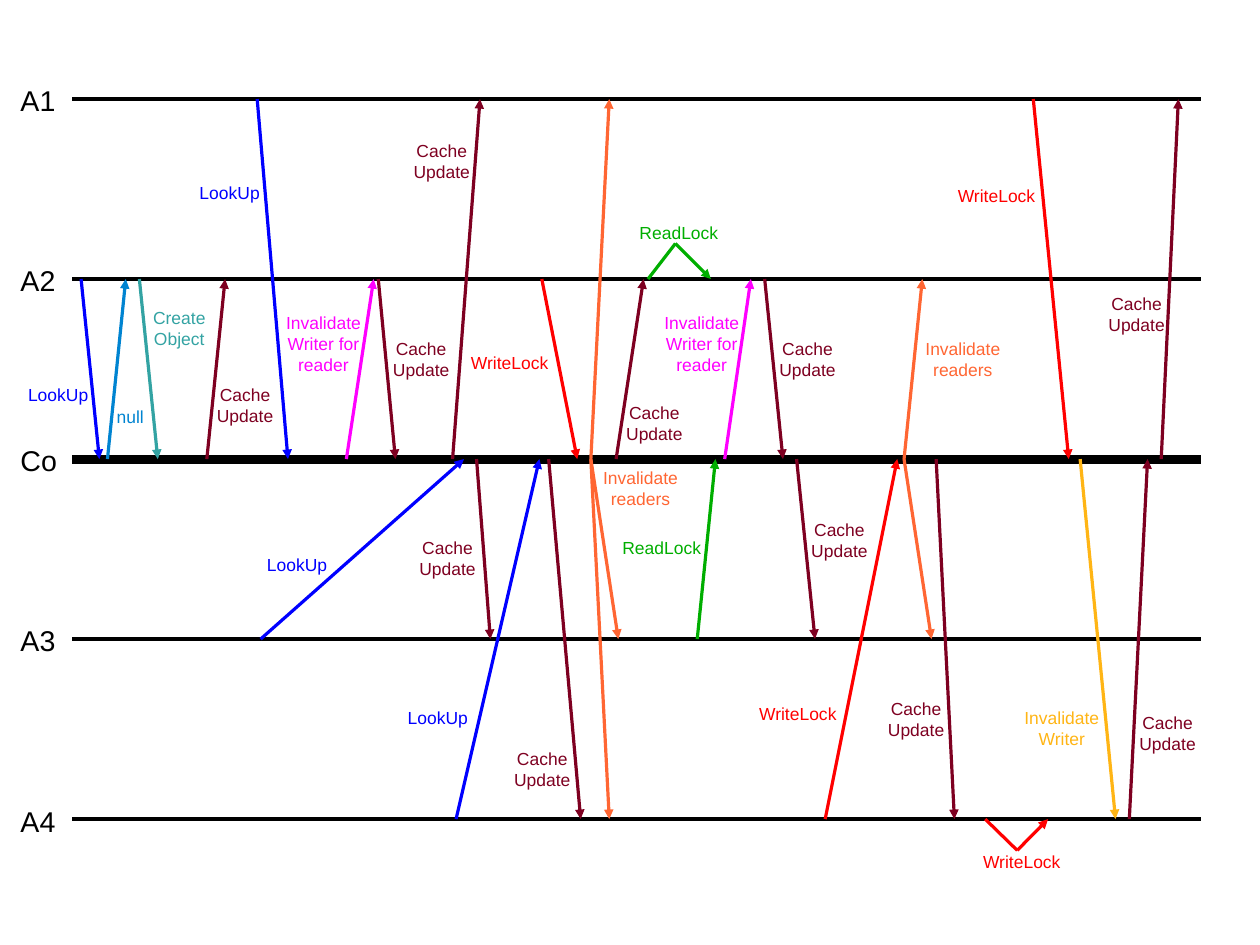
from itertools import pairwise

from pptx import Presentation
from pptx.dml.color import RGBColor
from pptx.enum import shapes, text
from pptx.oxml import xmlchemy
from pptx.util import Pt

A1, A2, CO, A3, A4 = LIFELINES = [round(62.4 + 113.4 * i, 1) for i in range(5)]
NAMES = ["A1", "A2", "Co", "A3", "A4"]

# kind: label lines, colour, label width, label height
KINDS = {
    "lookup": (["LookUp"], "0000FF", 79.2, 51),
    "null": (["null"], "0084D1", 79.2, 22.3),
    "create": (["Create", "Object"], "33A3A3", 79.2, 36.7),
    "update": (["Cache", "Update"], "7E0021", 54, 62.6),
    "reader": (["Invalidate", "Writer for reader"], "FF00FF", 79.2, 51),
    "write": (["WriteLock"], "FF0000", 79.2, 51),
    "read": (["ReadLock"], "00AE00", 79.2, 51),
    "readers": (["Invalidate readers"], "FF6633", 62.6, 32.4),
    "writer": (["Invalidate", "Writer"], "FFB515", 79.2, 51),
}

# kind, label left and top, then one path of (x, y) points for each arrow
MESSAGES = [
    ("lookup", -2.9, 238.3, [(51.1, A2), (62.6, CO)]),
    ("null", 42.5, 252, [(67.7, CO), (79.2, A2)]),
    ("create", 73.4, 190.1, [(87.8, A2), (99.4, CO)]),
    ("update", 127.4, 238.3, [(130.3, CO), (141.8, A2)]),
    ("lookup", 105.1, 110.9, [(162, A1), (181.4, CO)]),
    ("reader", 164.2, 193, [(218.2, CO), (235.4, A2)]),
    ("update", 238.3, 209.5, [(238.3, A2), (249.1, CO)]),
    ("update", 251.3, 85, [(285.1, CO), (302.4, A1)]),
    ("lookup", 147.6, 345.6, [(164.2, A3), (292.3, CO)]),
    ("lookup", 236.2, 442.1, [(287.3, A4), (339.8, CO)]),
    ("update", 254.9, 334.8, [(300.2, CO), (308.9, A3)]),
    ("update", 314.6, 468, [(345.6, CO), (365.8, A4)]),
    ("write", 281.5, 218.2, [(341.3, A2), (363.6, CO)]),
    ("readers", 372.2, 290.9, [(372.2, CO), (383.8, A1)],
     [(372.2, CO), (389.5, A3)], [(372.2, CO), (383.8, A4)]),
    ("update", 385.2, 249.8, [(388.1, CO), (405.4, A2)]),
    ("read", 388.1, 136.1, [(408.2, A2), (425.5, 153.4), (447.8, A2)]),
    ("read", 377.3, 334.8, [(439.2, A3), (450.7, CO)]),
    ("reader", 402.5, 193, [(456.5, CO), (473, A2)]),
    ("update", 481.7, 209.5, [(481.7, A2), (493.2, CO)]),
    ("update", 501.8, 323.3, [(501.8, CO), (513.4, A3)]),
    ("write", 463, 439.2, [(519.8, A4), (565.2, CO)]),
    ("readers", 575.3, 209.5, [(569.5, CO), (581, A2)],
     [(569.5, CO), (586.8, A3)]),
    ("update", 550.1, 436.3, [(589.7, CO), (601.2, A4)]),
    ("write", 604.1, 532.8, [(620.6, A4), (640.8, 535.7), (660.2, A4)]),
    ("write", 588.2, 113, [(650.9, A1), (673.2, CO)]),
    ("writer", 629.3, 442.1, [(680.4, CO), (702.7, A4)]),
    ("update", 708.5, 445, [(711.4, A4), (722.9, CO)]),
    ("update", 689, 181.4, [(731.5, CO), (742.3, A1)]),
]


def colour(value):
    return RGBColor.from_string(value)


class SequenceDiagram:
    def __init__(self, slide, font="Arial"):
        self.slide = slide
        self.font = font

    def label(self, lines, left, top, width, height, *, parent=None, size=11,
              fill="000000", align=text.PP_ALIGN.CENTER):
        """Write each of the lines as a paragraph of one text box."""
        parent = parent or self.slide
        box = parent.shapes.add_textbox(Pt(left), Pt(top), Pt(width), Pt(height))
        frame = box.text_frame
        frame.word_wrap = True
        frame.auto_size = text.MSO_AUTO_SIZE.SHAPE_TO_FIT_TEXT
        frame.text = "\n".join(lines)
        for paragraph in frame.paragraphs:
            paragraph.alignment = align
            paragraph.font.name = self.font
            paragraph.font.size = Pt(size)
            paragraph.font.color.rgb = colour(fill)

    def line(self, start, end, *, parent=None, stroke="000000", width=0, arrow=False):
        parent = parent or self.slide
        connector = parent.shapes.add_connector(
            shapes.MSO_CONNECTOR.STRAIGHT, *map(Pt, (*start, *end)))
        connector.line.color.rgb = colour(stroke)
        connector.line.width = Pt(width)
        if arrow:
            head = xmlchemy.OxmlElement("a:tailEnd")
            head.set("type", "triangle")
            connector.line._get_or_add_ln().append(head)
        connector._element.spPr.append(xmlchemy.OxmlElement("a:effectLst"))

    def lifeline(self, name, y):
        self.line((45.4, y), (756.7, y), width=5.67 if y == CO else 2.83)
        self.label([name], 5.8, y - 13.4, 39.6, 27.2, size=18,
                   align=text.PP_ALIGN.LEFT)

    def message(self, kind, left, top, *paths):
        """Group a label with its arrows; each path has a head at its end."""
        lines, shade, width, height = KINDS[kind]
        group = self.slide.shapes.add_group_shape()
        for path in paths:
            for start, end in pairwise(path):
                self.line(start, end, parent=group, stroke=shade,
                          arrow=end == path[-1])
        self.label(lines, left, top, width, height, parent=group, fill=shade)


def main():
    deck = Presentation()
    deck.slide_width, deck.slide_height = Pt(793.7), Pt(595.3)
    diagram = SequenceDiagram(deck.slides.add_slide(deck.slide_layouts[6]))
    for name, y in zip(NAMES, LIFELINES):
        diagram.lifeline(name, y)
    for message in MESSAGES:
        diagram.message(*message)
    deck.save("out.pptx")


if __name__ == "__main__":
    main()
